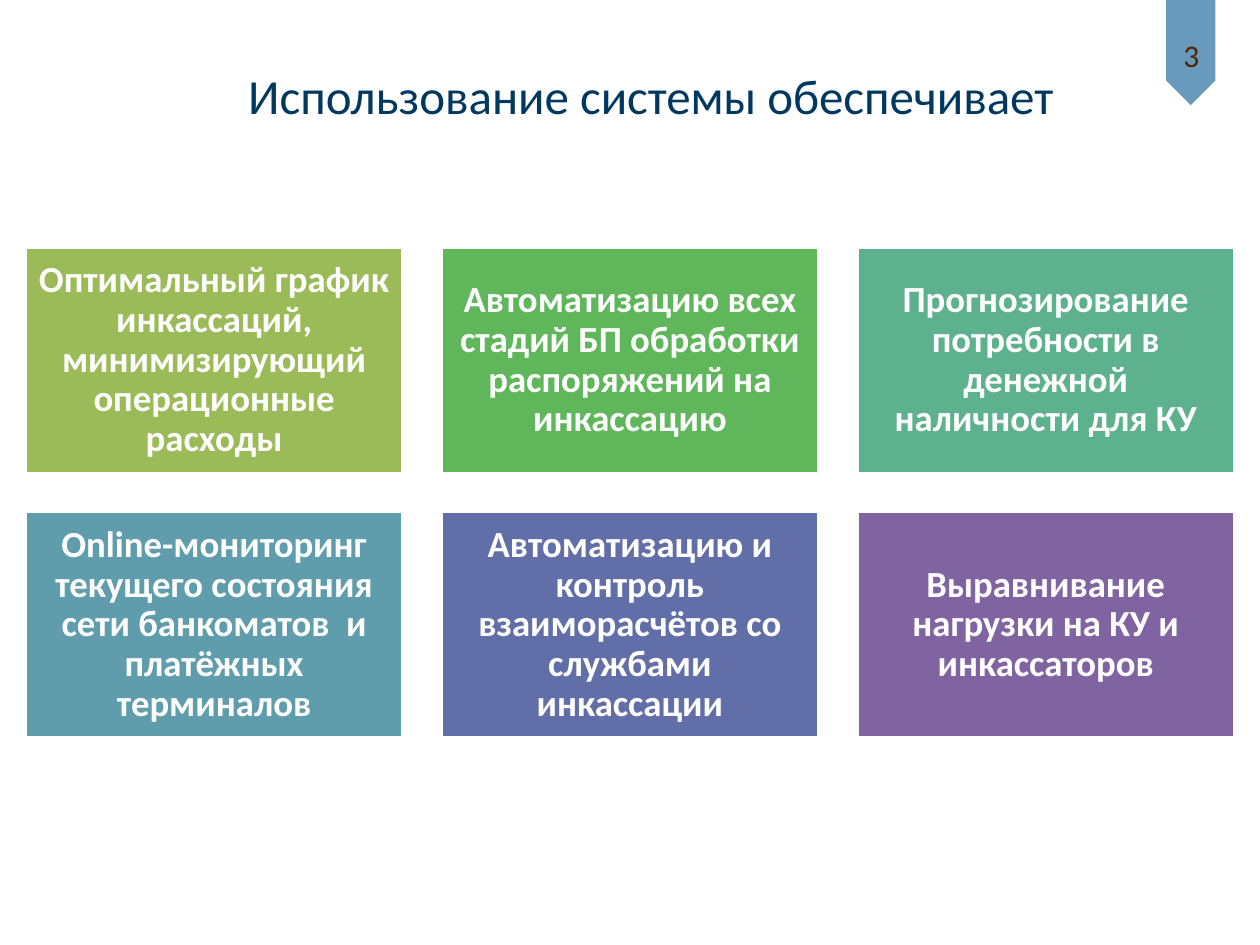
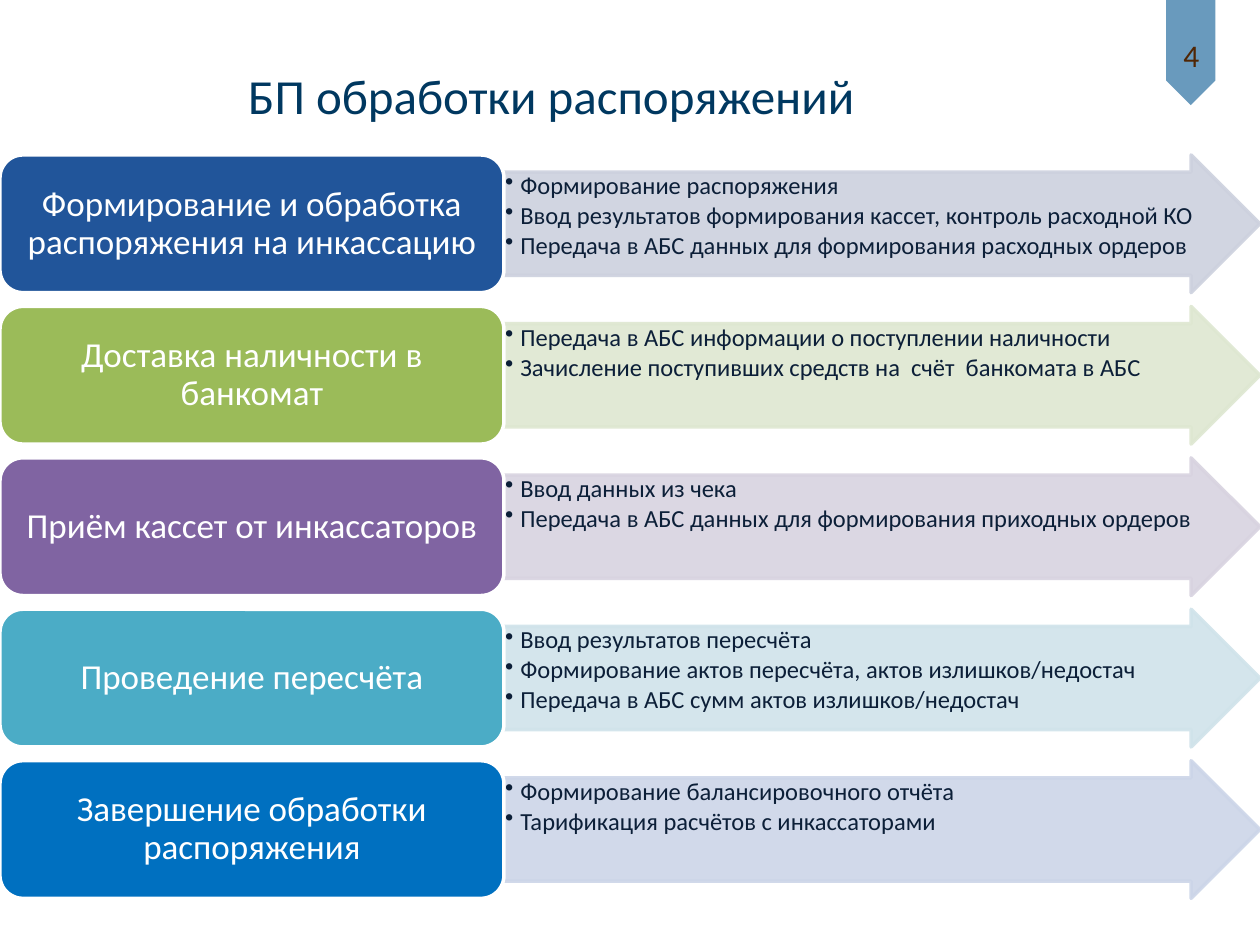
from collections import namedtuple
from dataclasses import dataclass

from lxml.etree import SubElement
from pptx import Presentation
from pptx.dml.color import RGBColor
from pptx.enum.shapes import MSO_SHAPE as Shape
from pptx.enum.text import MSO_ANCHOR as Anchor, MSO_AUTO_SIZE as AutoSize, PP_ALIGN as Align
from pptx.oxml.ns import qn
from pptx.util import Inches, Pt

Box = namedtuple("Box", "left top width height")


@dataclass(frozen=True)
class Theme:
    """Colours, font and type sizes shared by the deck."""
    font: str = "Calibri"
    white: str = "FFFFFF"
    title: str = "003860"
    number: str = "502604"
    ribbon: str = "005490"
    body: str = "0C1F38"
    title_size: int = 28
    number_size: int = 18
    benefit_size: int = 21
    stage_size: int = 20
    step_size: int = 14
    outline: int = 2
    leading: float = 0.9


THEME = Theme()
TITLE_BOX = Box(0, 0.21, 10, 1.09)
NUMBER_BOX = Box(9.26, 0.24, 0.39, 0.4)
RIBBON_BOX = Box(9.03, 0.22, 0.84, 0.39)
BENEFITS_BOX = Box(0.2, 1.96, 9.6, 3.9)
STAGES_BOX = Box(0, 1.23, 10, 5.9)

BENEFITS = [
    ("Оптимальный график инкассаций, минимизирующий операционные расходы", "9BBB59"),
    ("Автоматизацию всех стадий БП обработки распоряжений на инкассацию", "5FB65B"),
    ("Прогнозирование потребности в денежной наличности для КУ", "5DB18E"),
    ("Online-мониторинг текущего состояния сети банкоматов  и платёжных терминалов", "5F9DAC"),
    ("Автоматизацию и контроль взаиморасчётов со службами инкассации", "626EA7"),
    ("Выравнивание нагрузки на КУ и инкассаторов", "8064A2"),
]
STAGES = [
    ("Формирование и обработка распоряжения на инкассацию", "21559A", "CDD1DE", [
        "Формирование распоряжения",
        "Ввод результатов формирования кассет, контроль расходной КО",
        "Передача в АБС данных для формирования расходных ордеров"]),
    ("Доставка наличности в банкомат", "9BBB59", "DEE7D1", [
        "Передача в АБС информации о поступлении наличности",
        "Зачисление поступивших средств на  счёт  банкомата в АБС"]),
    ("Приём кассет от инкассаторов", "8064A2", "D8D3E0", [
        "Ввод данных из чека",
        "Передача в АБС данных для формирования приходных ордеров"]),
    ("Проведение пересчёта", "4BACC6", "D0E3EA", [
        "Ввод результатов пересчёта",
        "Формирование актов пересчёта, актов излишков/недостач",
        "Передача в АБС сумм актов излишков/недостач"]),
    ("Завершение обработки распоряжения", "0070C0", "CCD5E8", [
        "Формирование балансировочного отчёта",
        "Тарификация расчётов с инкассаторами"]),
]


def lengths(box):
    """Convert a box in inches to lengths."""
    return [Inches(value) for value in box]


def style(para, size, color, align=Align.LEFT, bold=False):
    """Set the font and alignment of a paragraph."""
    para.alignment = align
    font = para.font
    font.name, font.size, font.bold = THEME.font, Pt(size), bold
    font.color.rgb = RGBColor.from_string(color)


def set_margins(frame, horizontal, vertical):
    """Set equal opposite margins of a text frame."""
    frame.margin_left = frame.margin_right = Inches(horizontal)
    frame.margin_top = frame.margin_bottom = Inches(vertical)


def add_panel(page, kind, box, fill, line=None):
    """Add a flat preset shape, outlined if a line colour is given."""
    panel = page.shapes.add_shape(kind, *lengths(box))
    panel.shadow.inherit = False
    panel.fill.solid()
    panel.fill.fore_color.rgb = RGBColor.from_string(fill)
    if line:
        panel.line.color.rgb = RGBColor.from_string(line)
        panel.line.width = Pt(THEME.outline)
    else:
        panel.line.fill.background()
    return panel


def set_opacity(panel, percent):
    """Make the fill and line of a shape translucent."""
    for color in panel.element.spPr.iter(qn("a:srgbClr")):
        SubElement(color, qn("a:alpha"), val=str(percent * 1000))


def add_label(panel, text, size, margins, bold=False):
    """Write centred white text in a panel."""
    frame = panel.text_frame
    frame.word_wrap = True
    frame.vertical_anchor = Anchor.MIDDLE
    set_margins(frame, *margins)
    para = frame.paragraphs[0]
    para.text = text
    para.line_spacing = THEME.leading
    style(para, size, THEME.white, Align.CENTER, bold)


def add_bullets(panel, steps):
    """Write a bulleted list of steps in a panel."""
    frame = panel.text_frame
    frame.word_wrap = True
    frame.vertical_anchor = Anchor.TOP
    set_margins(frame, 0.01, 0.01)
    for index, step in enumerate(steps):
        para = frame.add_paragraph() if index else frame.paragraphs[0]
        para.text = step
        para.level = 1
        para.line_spacing = THEME.leading
        para.space_after = Pt(2)
        props = para._p.get_or_add_pPr()
        props.set("marL", str(Inches(0.12)))
        props.set("indent", str(-Inches(0.12)))
        SubElement(props, qn("a:buChar"), char="•")
        style(para, THEME.step_size, THEME.body)


def add_ribbon(page):
    """Place the number ribbon on the layout behind every page."""
    ribbon = add_panel(page, Shape.PENTAGON, RIBBON_BOX, THEME.ribbon)
    ribbon.rotation = 90
    set_opacity(ribbon, 59)
    page.slide_layout.shapes.element.append(ribbon.element)


def add_page(deck, title, number):
    """Add a page with its title and number."""
    page = deck.slides.add_slide(deck.slide_layouts[5])
    heading = page.shapes.title
    heading.left, heading.top, heading.width, heading.height = lengths(TITLE_BOX)
    frame = heading.text_frame
    frame.text = title
    frame.auto_size = AutoSize.NONE
    frame.vertical_anchor = Anchor.MIDDLE
    frame.margin_left, frame.margin_right = Inches(1.97), Inches(0.39)
    style(frame.paragraphs[0], THEME.title_size, THEME.title)

    frame = page.shapes.add_textbox(*lengths(NUMBER_BOX)).text_frame
    frame.word_wrap = True
    frame.auto_size = AutoSize.SHAPE_TO_FIT_TEXT
    frame.text = str(number)
    style(frame.paragraphs[0], THEME.number_size, THEME.number, Align.CENTER)
    return page


def add_benefits(page, box, benefits, columns=3, gap=0.3):
    """Fill a box with a grid of benefit tiles."""
    rows = -(-len(benefits) // columns)
    width = (box.width - gap * (columns - 1)) / columns
    height = (box.height - gap * (rows - 1)) / rows
    for index, (text, color) in enumerate(benefits):
        row, column = divmod(index, columns)
        place = Box(box.left + column * (width + gap), box.top + row * (height + gap), width, height)
        tile = add_panel(page, Shape.RECTANGLE, place, color, THEME.white)
        add_label(tile, text, THEME.benefit_size, (0.09, 0.09), bold=True)


def add_stages(page, box, stages, gap_share=0.1, label_share=0.4):
    """Stack stage labels with arrows that list their steps."""
    height = box.height / (len(stages) + gap_share * (len(stages) - 1))
    label_width = box.width * label_share
    for index, (name, color, tint, steps) in enumerate(stages):
        top = box.top + index * height * (1 + gap_share)
        place = Box(box.left + label_width, top, box.width - label_width, height)
        arrow = add_panel(page, Shape.RIGHT_ARROW, place, tint, tint)
        arrow.adjustments[0] = 0.75
        set_opacity(arrow, 90)
        add_bullets(arrow, steps)
        place = Box(box.left, top, label_width, height)
        label = add_panel(page, Shape.ROUNDED_RECTANGLE, place, color, THEME.white)
        add_label(label, name, THEME.stage_size, (0.08, 0.04))


def main():
    """Build and save the deck."""
    deck = Presentation()
    deck.slide_width, deck.slide_height = Inches(10), Inches(7.5)
    page = add_page(deck, "Использование системы обеспечивает", 3)
    add_ribbon(page)
    add_benefits(page, BENEFITS_BOX, BENEFITS)
    page = add_page(deck, "БП обработки распоряжений", 4)
    add_stages(page, STAGES_BOX, STAGES)
    deck.save("out.pptx")


if __name__ == "__main__":
    main()
